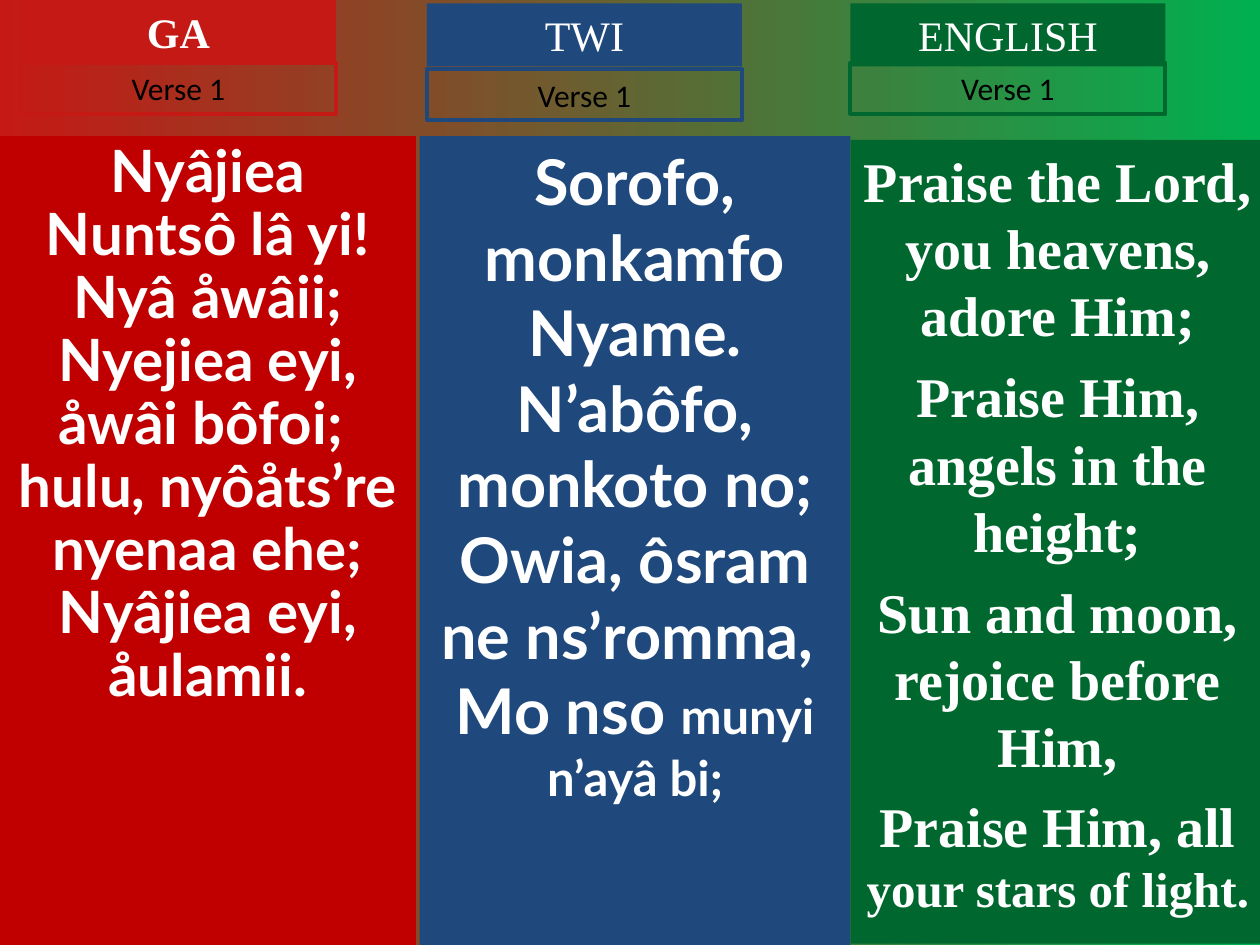
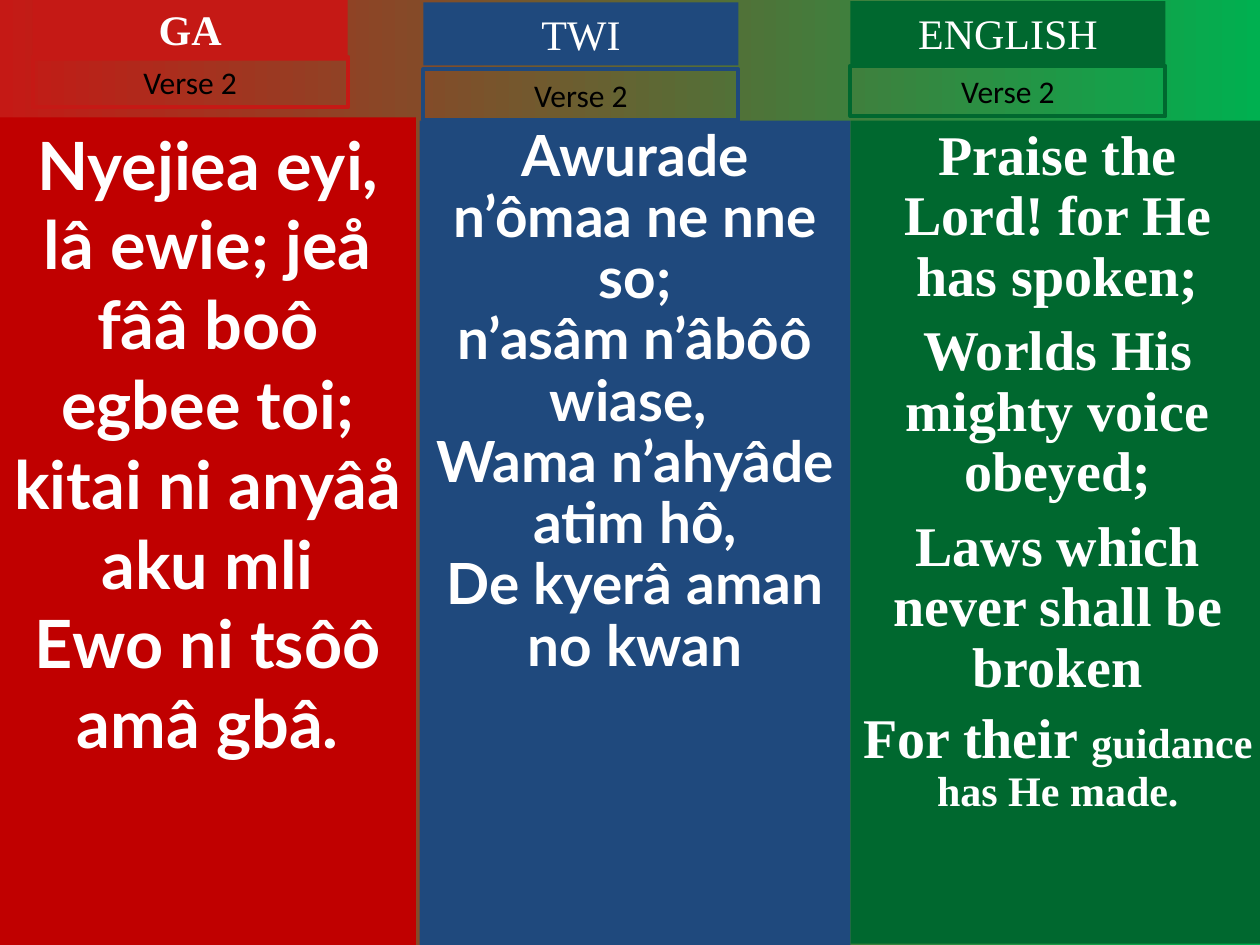
"""Build two hymn slides with Ga, Twi and English verses side by side."""
import pptx
import pptx.dml.color
import pptx.enum.shapes
import pptx.enum.text
import pptx.util
from lxml import etree
from pptx.util import Pt

COLORS = {
    "ga_header": "C51915", "ga": "C00000", "twi": "1F497D", "english": "00682F",
    "meadow": "00B050", "white": "FFFFFF", "black": "000000",
}
LANGUAGES = [
    {"name": "GA", "header": "ga_header", "panel": "ga", "font": "Lato", "left": 0, "width": 237.6},
    {"name": "TWI", "header": "twi", "panel": "twi", "font": "Lato", "left": 239.8, "width": 246.2},
    {"name": "ENGLISH", "header": "english", "panel": "english", "font": "Times New Roman",
     "left": 486, "width": 236.9},
]
HEADER_SIZE = (180, 36)
LABEL_SIZE = (180, 29)
VERSES = [
    {"label": "Verse 1", "columns": [
        {"header": (12, 0), "label_top": 36, "panel": (77.8, 540), "size": 33.3, "spacing": 0.9,
         "lines": ["Nyâjiea Nuntsô lâ yi! Nyâ åwâii;", "Nyejiea eyi, åwâi bôfoi; ",
                   "hulu, nyôåts’re nyenaa ehe;", "Nyâjiea eyi, åulamii."]},
        {"header": (244, 2), "label_top": 39.6, "panel": (77.8, 540), "size": 36, "spacing": 1,
         "lines": ["Sorofo, monkamfo Nyame.", "N’abôfo, monkoto no;",
                   "Owia, ôsram ne ns’romma, ", "Mo nso "],
         "ending": ("munyi n’ayâ bi;", 28)},
        {"header": (486, 2), "label_top": 36, "panel": (80, 539.3), "size": 32, "spacing": 1,
         "before": [0, 8, 8, 7],
         "lines": ["Praise the Lord, you heavens, adore Him;", "Praise Him, angels in the height;",
                   "Sun and moon, rejoice before Him,", "Praise Him, all "],
         "ending": ("your stars of light.", 28)},
    ]},
    {"label": "Verse 2", "columns": [
        {"header": (18.7, -1.4), "label_top": 32.4, "panel": (67, 540), "size": 38, "spacing": 1,
         "lines": ["Nyejiea eyi, lâ ewie; jeå fââ boô egbee toi;",
                   "kitai ni anyâå aku mli", "Ewo ni tsôô amâ gbâ."]},
        {"header": (242, 1.4), "label_top": 39.6, "panel": (69, 540), "size": 32.4, "spacing": 0.9,
         "lines": ["Awurade n’ômaa ne nne so;", "n’asâm n’âbôô wiase, ",
                   "Wama n’ahyâde atim hô,", "De kyerâ aman no kwan"]},
        {"header": (486, 0.7), "label_top": 37.5, "panel": (69, 539.3), "size": 32, "spacing": 0.9,
         "before": [0, 8, 8, 6],
         "lines": ["Praise the Lord! for He has spoken;", "Worlds His mighty voice obeyed;",
                   "Laws which never shall be broken", "For their "],
         "ending": ("guidance has He made.", 24)},
    ]},
]


def rgb(name):
    return pptx.dml.color.RGBColor.from_string(COLORS[name])


def place(part, left, top, width, height):
    part.left, part.top, part.width, part.height = Pt(left), Pt(top), Pt(width), Pt(height)


def add_box(slide):
    box = slide.shapes.add_shape(pptx.enum.shapes.MSO_SHAPE.RECTANGLE, 0, 0, 0, 0)
    box.shadow.inherit = False
    return box


def paint(part, fill=None, line=None):
    if fill:
        part.fill.solid()
        part.fill.fore_color.rgb = rgb(fill)
    else:
        part.fill.background()
    if line:
        part.line.color.rgb = rgb(line)
        part.line.width = Pt(2.25)
    else:
        part.line.fill.background()


def write(part, lines, font, size, color, bold=False, spacing=1, before=None, ending=None):
    frame = part.text_frame
    frame.word_wrap = True
    frame.auto_size = pptx.enum.text.MSO_AUTO_SIZE.NONE
    frame.vertical_anchor = pptx.enum.text.MSO_ANCHOR.TOP
    frame.margin_left = frame.margin_right = Pt(7.2)
    frame.margin_top = frame.margin_bottom = Pt(3.6)
    for index, line in enumerate(lines):
        paragraph = frame.add_paragraph() if index else frame.paragraphs[0]
        paragraph.add_run().text = line
        paragraph.alignment = pptx.enum.text.PP_ALIGN.CENTER
        paragraph.line_spacing = spacing
        paragraph.space_before = Pt(before[index] if before else 0)
        properties = paragraph._p.get_or_add_pPr()
        properties.set("marL", "0")
        properties.set("indent", "0")
        etree.SubElement(properties, pptx.oxml.ns.qn("a:buNone"))
        paragraph.font.name = font
        paragraph.font.size = Pt(size)
        paragraph.font.bold = bold
        paragraph.font.color.rgb = rgb(color)
    if ending:
        closing = paragraph.add_run()
        closing.text, closing.font.size = ending[0], Pt(ending[1])


def add_column(slide, language, column, label, header, panel):
    top, bottom = column["panel"]
    place(panel, language["left"], top, language["width"], bottom - top)
    paint(panel, fill=language["panel"])
    write(panel, column["lines"], language["font"], column["size"], "white", True,
          column["spacing"], column.get("before"), column.get("ending"))

    left, header_top = column["header"]
    place(header, left, header_top, *HEADER_SIZE)
    paint(header, fill=language["header"])
    write(header, [language["name"]], "Times New Roman", 24, "white", language["name"] == "GA")

    verse_label = add_box(slide)
    place(verse_label, left, column["label_top"], *LABEL_SIZE)
    paint(verse_label, line=language["header"])
    write(verse_label, [label], "Calibri", 18, "black")


def main():
    deck = pptx.Presentation()
    deck.slide_width, deck.slide_height = Pt(720), Pt(540)
    backdrop = deck.slide_master.background.fill
    backdrop.gradient()
    backdrop.gradient_angle = 0
    for stop, name in zip(backdrop.gradient_stops, ("ga_header", "meadow")):
        stop.color.rgb = rgb(name)

    for verse in VERSES:
        slide = deck.slides.add_slide(deck.slide_layouts.get_by_name("Two Content"))
        title, ga_lyrics, twi_lyrics = list(slide.placeholders)[:3]
        panels = [ga_lyrics, twi_lyrics, add_box(slide)]
        headers = [title, add_box(slide), add_box(slide)]
        for language, column, header, panel in zip(LANGUAGES, verse["columns"], headers, panels):
            add_column(slide, language, column, verse["label"], header, panel)
    deck.save("out.pptx")


if __name__ == "__main__":
    main()
